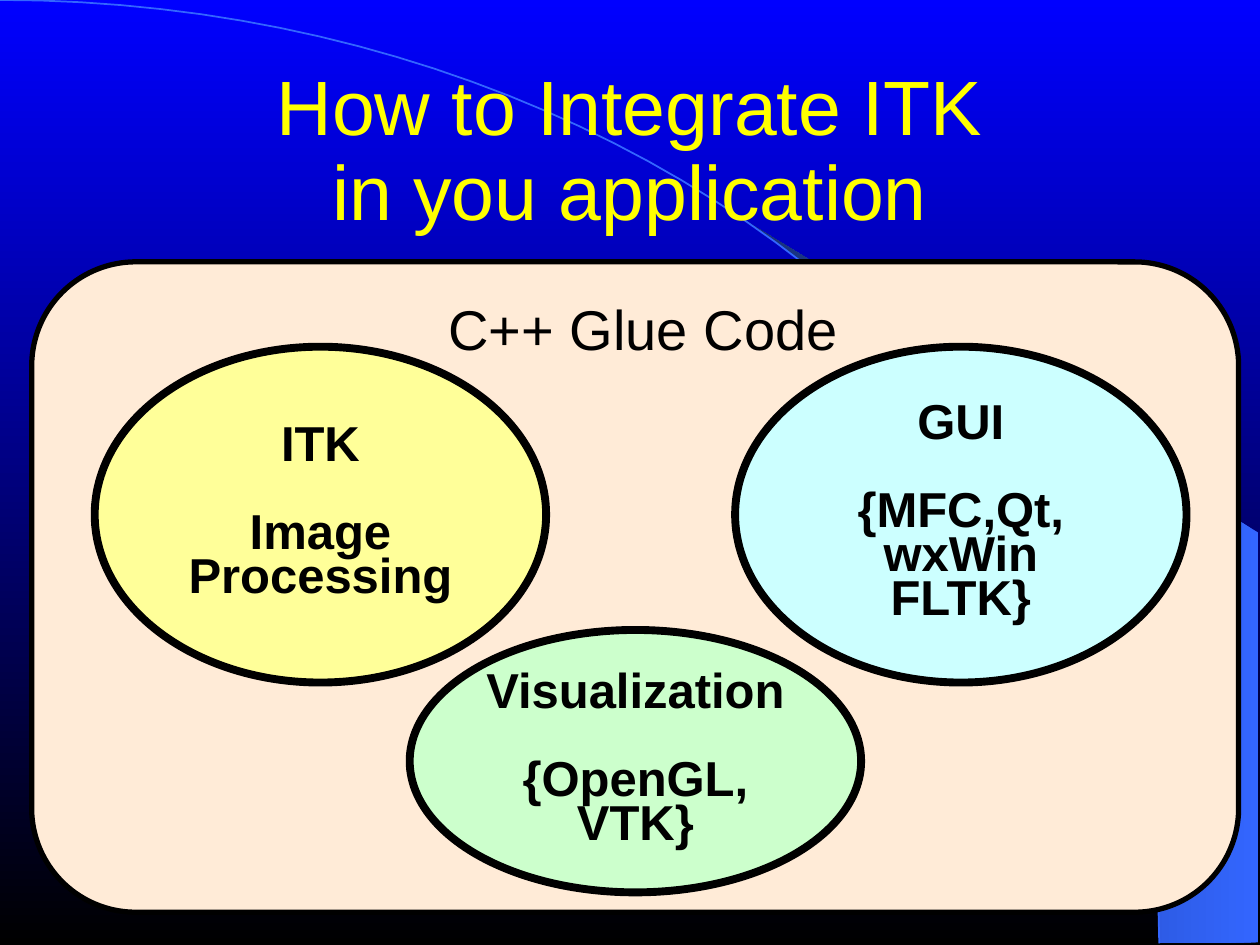
import math
from dataclasses import dataclass

from pptx import Presentation
from pptx import util as u
from pptx.dml.color import RGBColor
from pptx.enum import shapes, text
from pptx.util import Cm, Pt

COLORS = {
    "sky": "0000FF", "night": "000000", "swoosh": "3366FF", "swoosh_dark": "172F75",
    "title": "FFFF00", "ink": "000000", "panel": "FFEBD7",
    "itk": "FFFF99", "gui": "CCFFFF", "visualization": "CCFFCC",
}
FONT = "Arial"
ARC_RADII = (23.37, 19.02)


@dataclass(frozen=True)
class Box:
    """Place and size in centimetres."""
    left: float
    top: float
    width: float
    height: float

    def lengths(self) -> tuple[u.Length, ...]:
        return Cm(self.left), Cm(self.top), Cm(self.width), Cm(self.height)

    def centered(self, width: float, height: float) -> "Box":
        return Box(self.left + (self.width - width) / 2,
                   self.top + (self.height - height) / 2, width, height)


@dataclass(frozen=True)
class Component:
    heading: str
    details: tuple[str, ...]
    color: str
    oval: Box
    label_size: tuple[float, float]


COMPONENTS = (
    Component("ITK", ("Image", "Processing"), "itk",
              Box(1.91, 6.99, 9.1, 6.77), (5.82, 3.81)),
    Component("GUI", ("{MFC,Qt,", "wxWin", "FLTK}"), "gui",
              Box(14.82, 6.99, 9.1, 6.77), (4.67, 4.7)),
    Component("Visualization", ("{OpenGL, VTK}",), "visualization",
              Box(8.26, 12.7, 9.1, 5.29), (7.67, 2.92)),
)


def rgb(name: str) -> RGBColor:
    return RGBColor.from_string(COLORS[name])


def fill_gradient(fill, start: str, end: str, angle: float) -> None:
    fill.gradient()
    fill.gradient_angle = angle
    for stop, name, position in zip(fill.gradient_stops, (start, end), (0, 1)):
        stop.color.rgb = rgb(name)
        stop.position = position


def arc_points(degrees: int) -> list[tuple[float, float]]:
    """Points on the big ellipse, from its right end upwards."""
    width, height = ARC_RADII
    angles = [math.radians(a) for a in range(0, degrees + 1, 2)]
    return [(width * math.cos(a), height * (1 - math.sin(a))) for a in angles]


def add_outline(slide, points: list[tuple[float, float]], close: bool):
    corners = [(Cm(x), Cm(y)) for x, y in points]
    builder = slide.shapes.build_freeform(*corners[0])
    builder.add_line_segments(corners[1:], close=close)
    outline = builder.convert_to_shape()
    outline.shadow.inherit = False
    return outline


def add_background(slide) -> None:
    fill_gradient(slide.background.fill, "sky", "night", 270)
    swoosh = add_outline(slide, arc_points(50) + [(25.37, 10.74), (25.37, 19.0)], True)
    fill_gradient(swoosh.fill, "swoosh", "swoosh_dark", 180)
    swoosh.line.fill.background()
    arc = add_outline(slide, arc_points(90), False)
    arc.fill.background()
    arc.line.color.rgb = rgb("swoosh")
    arc.line.width = Pt(1)


def add_filled(slide, kind: shapes.MSO_SHAPE, box: Box, color: str, line_width: float):
    figure = slide.shapes.add_shape(kind, *box.lengths())
    figure.shadow.inherit = False
    figure.fill.solid()
    figure.fill.fore_color.rgb = rgb(color)
    figure.line.color.rgb = rgb("ink")
    figure.line.width = Pt(line_width)
    return figure


def add_run(paragraph, words: str, size: int, color: str = "ink", bold: bool = False) -> None:
    run = paragraph.add_run()
    run.text = words
    run.font.name = FONT
    run.font.size = Pt(size)
    run.font.bold = bold
    run.font.color.rgb = rgb(color)


def add_label(slide, box: Box):
    frame = slide.shapes.add_textbox(*box.lengths()).text_frame
    frame.word_wrap = False
    return frame


def add_title(slide, lines: tuple[str, ...]) -> None:
    title = slide.shapes.title
    title.left, title.top, title.width, title.height = Box(1.9, 1.09, 21.6, 3.96).lengths()
    # Bring the title in front of the background curves.
    slide.shapes[-1]._element.addnext(title._element)
    frame = title.text_frame
    frame.auto_size = text.MSO_AUTO_SIZE.NONE
    frame.vertical_anchor = text.MSO_ANCHOR.MIDDLE
    paragraph = frame.paragraphs[0]
    paragraph.alignment = text.PP_ALIGN.CENTER
    paragraph.line_spacing = 0.93
    for index, line in enumerate(lines):
        if index:
            paragraph.add_line_break()
        add_run(paragraph, line, 44, "title")


def add_glue_panel(slide) -> None:
    panel = add_filled(slide, shapes.MSO_SHAPE.ROUNDED_RECTANGLE,
                       Box(0.64, 5.28, 24.33, 13.11), "panel", 3)
    panel.adjustments[0] = 0.16
    paragraph = add_label(slide, Box(8.79, 5.94, 8.36, 1.52)).paragraphs[0]
    paragraph.line_spacing = 0.93
    add_run(paragraph, "C++ Glue Code", 32)


def add_component(slide, component: Component) -> None:
    add_filled(slide, shapes.MSO_SHAPE.OVAL, component.oval, component.color, 4.5)
    frame = add_label(slide, component.oval.centered(*component.label_size))
    frame.vertical_anchor = text.MSO_ANCHOR.MIDDLE
    for index, line in enumerate((component.heading, *component.details)):
        paragraph = frame.add_paragraph() if index else frame.paragraphs[0]
        paragraph.alignment = text.PP_ALIGN.CENTER
        paragraph.line_spacing = 0.75
        paragraph.space_before = Pt(25 if index == 1 else 0)
        add_run(paragraph, line, 28, bold=True)


def main() -> None:
    deck = Presentation()
    deck.slide_width, deck.slide_height = Cm(25.4), Cm(19.05)
    slide = deck.slides.add_slide(deck.slide_layouts.get_by_name("Title Only"))
    add_background(slide)
    add_title(slide, ("How to Integrate ITK", "in you application"))
    add_glue_panel(slide)
    for component in COMPONENTS:
        add_component(slide, component)
    deck.save("out.pptx")


if __name__ == "__main__":
    main()
